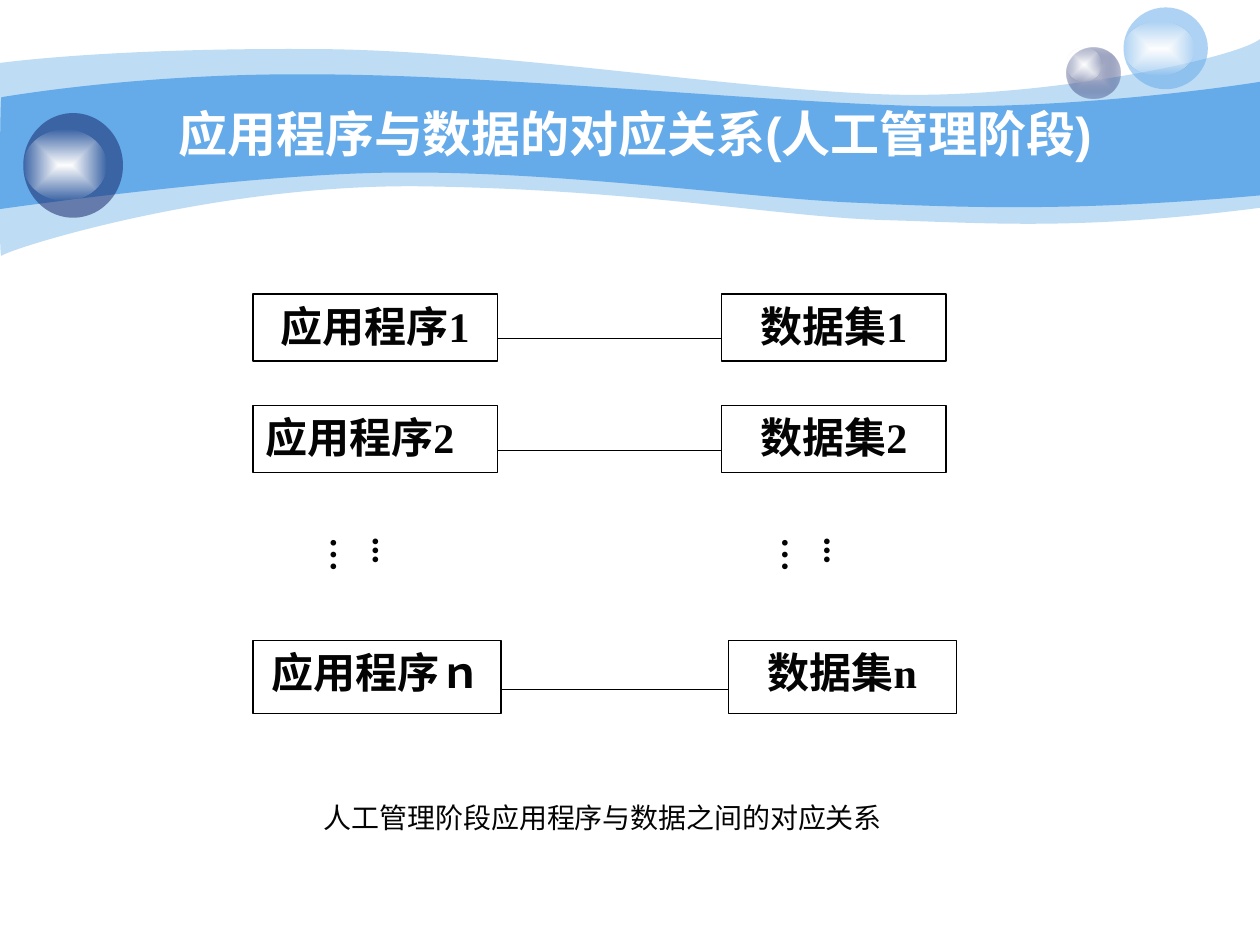
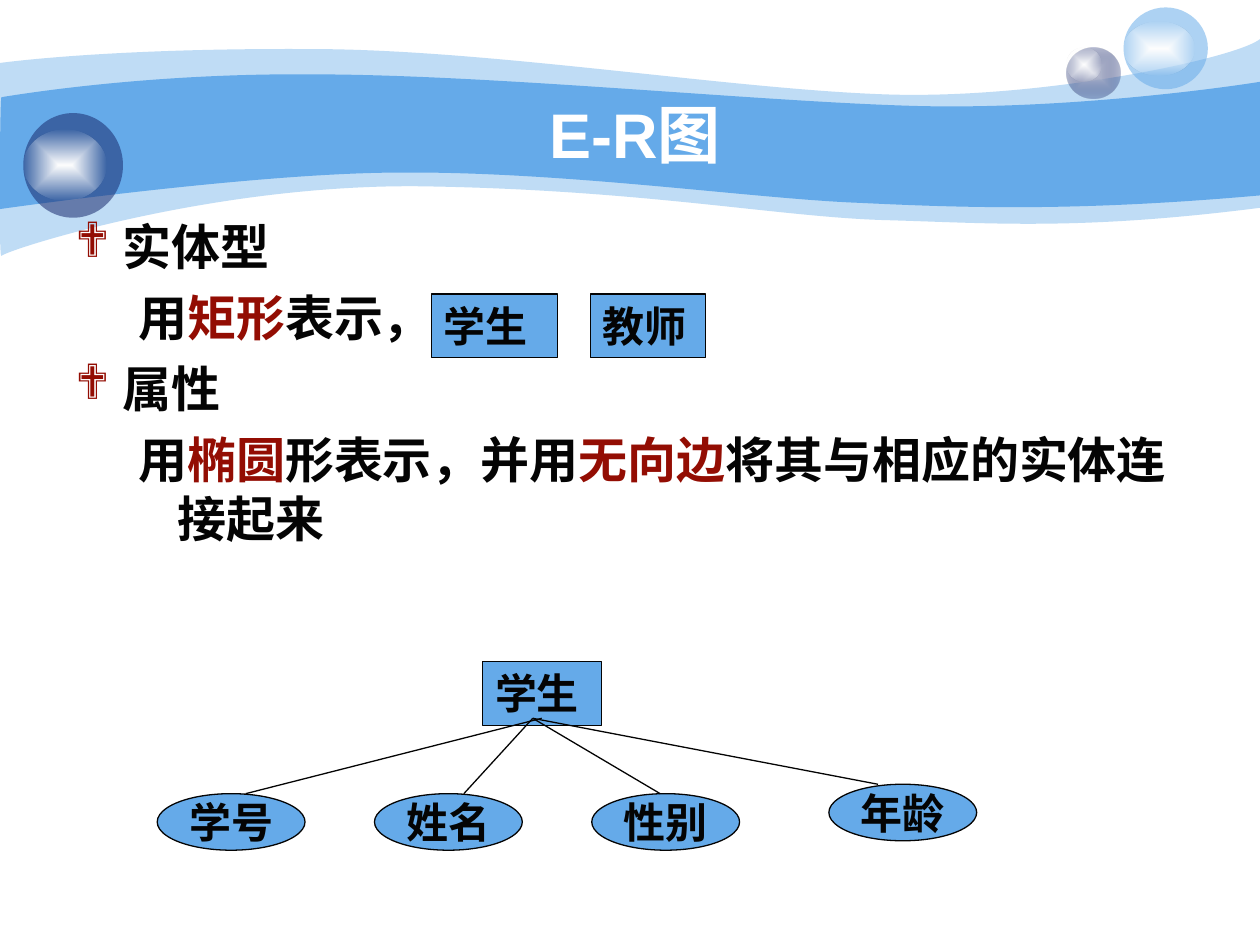
from dataclasses import dataclass

from lxml import etree
from pptx import Presentation
from pptx.dml.color import RGBColor
from pptx.enum.shapes import MSO_CONNECTOR, MSO_SHAPE
from pptx.enum.text import MSO_ANCHOR, MSO_AUTO_SIZE, PP_ALIGN
from pptx.oxml import parse_xml
from pptx.oxml.ns import nsdecls, qn
from pptx.util import Cm, Pt

RECT, OVAL = MSO_SHAPE.RECTANGLE, MSO_SHAPE.OVAL
LINE = MSO_CONNECTOR.STRAIGHT
LEFT, MID, JUST = PP_ALIGN.LEFT, PP_ALIGN.CENTER, PP_ALIGN.JUSTIFY
TOP, CORE = MSO_ANCHOR.TOP, MSO_ANCHOR.MIDDLE
FIXED, GROW = MSO_AUTO_SIZE.NONE, MSO_AUTO_SIZE.SHAPE_TO_FIT_TEXT

INK = {
    "sky": "65AAE9",
    "navy": "16266A",
    "mist": "C4C8D9",
    "white": "FFFFFF",
    "black": "000000",
    "text": "040404",
    "red": "930D03",
}
SANS, SERIF = "Arial", "Times New Roman"


@dataclass
class Band:
    """Upper and lower edge as chains of cubic curves, in cm."""
    top: list
    low: list
    alpha: int


@dataclass
class Spot:
    """An ellipse; one stop (colour, opacity) is solid, two are a gradient."""
    x: float
    y: float
    w: float
    h: float
    stops: list


@dataclass
class Node:
    text: str
    x: float
    y: float
    w: float
    h: float
    kind: int = RECT
    fill: str = "sky"
    edge: str = "text"
    align: int = LEFT
    anchor: int = TOP
    wrap: bool = True


@dataclass
class Pair:
    """A program and its data set, joined by a line dy below their top."""
    prog: str
    data: str
    y: float
    h: float
    dy: float
    wide: float = 4.93
    x: float = 14.55
    size: float = 4.52
    align: int = MID


@dataclass
class Leaf:
    text: str
    x: float
    y: float
    start: float
    end: float


BANDS = [
    Band([(0, 1.27), (0.61, 1.19), (2.72, 0.97), (6.27, 0.99),
          (9.8, 0.99), (14.6, 1.78), (17.75, 1.9),
          (20.88, 2.03), (24.89, 1.19), (25.4, 0.79)],
         [(25.4, 4.19), (21.79, 4.65), (19.99, 4.5), (17.91, 4.44),
          (15.8, 4.39), (13.08, 3.84), (8.71, 3.76),
          (4.37, 3.66), (0.1, 5.05), (0.03, 5.16),
          (-0.03, 5.28), (0, 1.9), (0, 1.27)], 41),
    Band([(0.03, 1.96), (0.05, 1.96), (2.79, 1.47), (6.3, 1.5),
          (9.8, 1.5), (15.11, 2.03), (18.24, 2.13),
          (21.36, 2.24), (24.79, 1.75), (25.4, 1.65)],
         [(25.4, 3.94), (21.67, 4.27), (19.43, 4.19), (17.32, 4.09),
          (15.21, 4.01), (11.35, 3.45), (8.05, 3.48),
          (5.16, 3.48), (-0.05, 4.22), (-0.03, 4.22),
          (0, 4.22), (0, 1.96), (0.03, 1.96)], 100),
]
GLOW = [("white", 100), ("white", 0)]
SPOTS = [
    Spot(21.5, 0.96, 1.08, 1.02, [("mist", 100), ("navy", 31)]),
    Spot(21.5, 0.96, 0.71, 0.69, GLOW),
    Spot(22.65, 0.15, 1.7, 1.65, [("sky", 53)]),
    Spot(22.65, 0.43, 1.42, 1.09, GLOW),
    Spot(0.47, 2.28, 2.01, 2.11, [("navy", 53)]),
    Spot(0.47, 2.62, 1.68, 1.42, GLOW),
]
PAIRS = [
    Pair("应用程序1", "数据集1", 5.93, 1.35, 0.9),
    Pair("应用程序2", "数据集2", 8.18, 1.35, 0.9, align=JUST),
    Pair("应用程序ｎ", "数据集n", 12.91, 1.48, 0.99, 5.0, 14.68, 4.6),
]
LEAVES = [
    Leaf("学号", 3.17, 16, 10.92, 4.95),
    Leaf("姓名", 7.55, 16, 10.74, 9.35),
    Leaf("性别", 11.93, 16, 10.74, 13.31),
    Leaf("年龄", 16.71, 15.81, 10.74, 17.7),
]
BODY = [
    (True, [("实体型", "text")]),
    (False, [("用", "text"), ("矩形", "red"), ("表示，", "text")]),
    (True, [("属性", "text")]),
    (False, [("用", "text"), ("椭圆", "red"), ("形表示，并用", "text"),
             ("无向边", "red"), ("将其与相应的实体连接起来", "text")]),
]


def rgb(key: str) -> RGBColor:
    return RGBColor.from_string(INK[key])


def write(para, text: str, size: int, face: str = SERIF,
          ink: str = "text", bold: bool = True) -> None:
    run = para.add_run()
    run.text = text
    font = run.font
    font.size, font.name, font.bold = Pt(size), face, bold
    font.color.rgb = rgb(ink)


def bend(edges: list) -> None:
    """Turn each three line segments of an outline into one cubic curve."""
    for i in range(0, len(edges), 3):
        cube = etree.Element(qn("a:cubicBezTo"))
        edges[i].addprevious(cube)
        for edge in edges[i:i + 3]:
            cube.append(edge[0])
            edge.getparent().remove(edge)


def wave(slide, band: Band):
    pts = [(Cm(x), Cm(y)) for x, y in band.top + band.low]
    pen = slide.shapes.build_freeform(*pts[0])
    pen.add_line_segments(pts[1:], close=True)
    shape = pen.convert_to_shape()
    edges = list(shape.element.iter(qn("a:lnTo")))
    side = len(band.top) - 1
    bend(edges[:side])
    bend(edges[side + 1:side + len(band.low)])
    return shape


def tint(shape, stops: list) -> None:
    """Fill with see-through colour or a rectangular gradient, no outline."""
    shape.shadow.inherit = False
    shape.line.fill.background()
    shape.fill.background()
    inks = [f'<a:srgbClr val="{INK[key]}"><a:alpha val="{alpha * 1000}"/></a:srgbClr>'
            for key, alpha in stops]
    if len(inks) == 1:
        xml = f'<a:solidFill {nsdecls("a")}>{inks[0]}</a:solidFill>'
    else:
        xml = (f'<a:gradFill {nsdecls("a")} rotWithShape="1"><a:gsLst>'
               f'<a:gs pos="0">{inks[0]}</a:gs><a:gs pos="100000">{inks[1]}</a:gs>'
               '</a:gsLst><a:path path="rect"><a:fillToRect l="50000" t="50000" '
               'r="50000" b="50000"/></a:path></a:gradFill>')
    props = shape.element.spPr
    props.replace(props.find(qn("a:noFill")), parse_xml(xml))


def adorn(slide) -> None:
    """Draw bands and spots, then move them to the layout."""
    made = []
    for band in BANDS:
        made.append(wave(slide, band))
        tint(made[-1], [("sky", band.alpha)])
    for s in SPOTS:
        made.append(slide.shapes.add_shape(OVAL, Cm(s.x), Cm(s.y), Cm(s.w), Cm(s.h)))
        tint(made[-1], s.stops)
    base = slide.slide_layout.placeholders[0].element
    for num, shape in enumerate(made, 100):
        shape.element.nvSpPr.cNvPr.set("id", str(num))
        base.addprevious(shape.element)


def head(slide, text: str, size: int) -> None:
    box = slide.shapes.title
    box.left, box.top, box.width, box.height = Cm(2.54), Cm(1.9), Cm(20.52), Cm(1.57)
    frame = box.text_frame
    frame.auto_size, frame.vertical_anchor = FIXED, CORE
    para = frame.paragraphs[0]
    para.alignment = MID
    write(para, text, size, SANS, "white")


def draw(slide, node: Node) -> None:
    shape = slide.shapes.add_shape(node.kind, Cm(node.x), Cm(node.y),
                                   Cm(node.w), Cm(node.h))
    shape.shadow.inherit = False
    shape.fill.solid()
    shape.fill.fore_color.rgb = rgb(node.fill)
    shape.line.color.rgb = rgb(node.edge)
    shape.line.width = Pt(0.75)
    frame = shape.text_frame
    frame.word_wrap, frame.vertical_anchor = node.wrap, node.anchor
    para = frame.paragraphs[0]
    para.alignment = node.align
    write(para, node.text, 24)


def link(slide, x: float, y: float, x2: float, y2: float, ink: str) -> None:
    line = slide.shapes.add_connector(LINE, Cm(x), Cm(y), Cm(x2), Cm(y2))
    line.line.color.rgb = rgb(ink)
    line.line.width = Pt(0.75)
    etree.SubElement(line.element.spPr, qn("a:effectLst"))


def area(slide, x: float, y: float, w: float, h: float, wrap: bool = True):
    frame = slide.shapes.add_textbox(Cm(x), Cm(y), Cm(w), Cm(h)).text_frame
    frame.word_wrap = wrap
    return frame


def dots(slide, x: float) -> None:
    frame = area(slide, x, 10.59, 1.35, 1.7)
    frame.auto_size = GROW
    frame.margin_left = frame.margin_right = Cm(0.13)
    frame.margin_top = frame.margin_bottom = Cm(0.25)
    frame._bodyPr.set("vert", "eaVert")
    write(frame.paragraphs[0], "...…", 20)


def indent(para, left: float, first: float, mark: bool) -> None:
    props = para._p.get_or_add_pPr()
    props.set("marL", str(Cm(left)))
    props.set("indent", str(Cm(first)))
    if mark:
        tone = etree.SubElement(props, qn("a:buClr"))
        etree.SubElement(tone, qn("a:srgbClr"), val=INK["red"])
        etree.SubElement(props, qn("a:buFont"), typeface="Wingdings", charset="2")
        etree.SubElement(props, qn("a:buChar"), char="❖")


def match(slide) -> None:
    """Programs on the left, each with its own data set."""
    head(slide, "应用程序与数据的对应关系(人工管理阶段)", 28)
    left = 5.1
    for p in PAIRS:
        draw(slide, Node(p.prog, left, p.y, p.wide, p.h, RECT, "white", "black", p.align))
        draw(slide, Node(p.data, p.x, p.y, p.size, p.h, RECT, "white", "black", MID))
        link(slide, left + p.wide, p.y + p.dy, p.x, p.y + p.dy, "black")
    for x in (7.01, 16.11):
        dots(slide, x)
    para = area(slide, 5.25, 16.01, 13.82, 1.02, wrap=False).paragraphs[0]
    para.alignment = MID
    write(para, "人工管理阶段应用程序与数据之间的对应关系", 16, bold=False)


def chart(slide) -> None:
    """Notes on entities and attributes above a sample diagram."""
    head(slide, "E-R图", 36)
    frame = area(slide, 1.27, 4.24, 22.86, 12.5)
    for i, (mark, runs) in enumerate(BODY):
        para = frame.add_paragraph() if i else frame.paragraphs[0]
        indent(para, *((0.95, -0.95) if mark else (2.06, -0.79)), mark)
        if i:
            para.space_before = Pt(7)
        for text, ink in runs:
            write(para, text, 28, SANS, ink)
    for text, x, y, w in (("学生", 8.7, 5.93, 2.54), ("教师", 11.9, 5.93, 2.33),
                          ("学生", 9.73, 13.34, 2.4)):
        draw(slide, Node(text, x, y, w, 1.28))
    for leaf in LEAVES:
        draw(slide, Node(leaf.text, leaf.x, leaf.y, 2.98, 1.14, OVAL,
                         align=MID, anchor=CORE, wrap=False))
    for leaf in LEAVES:
        link(slide, leaf.start, 14.48, leaf.end, leaf.y, "text")


def main() -> None:
    deck = Presentation()
    deck.slide_width, deck.slide_height = Cm(25.4), Cm(19.05)
    plain = deck.slide_layouts[5]
    first, second = (deck.slides.add_slide(plain) for _ in range(2))
    adorn(first)
    match(first)
    chart(second)
    deck.save("out.pptx")


if __name__ == "__main__":
    main()
